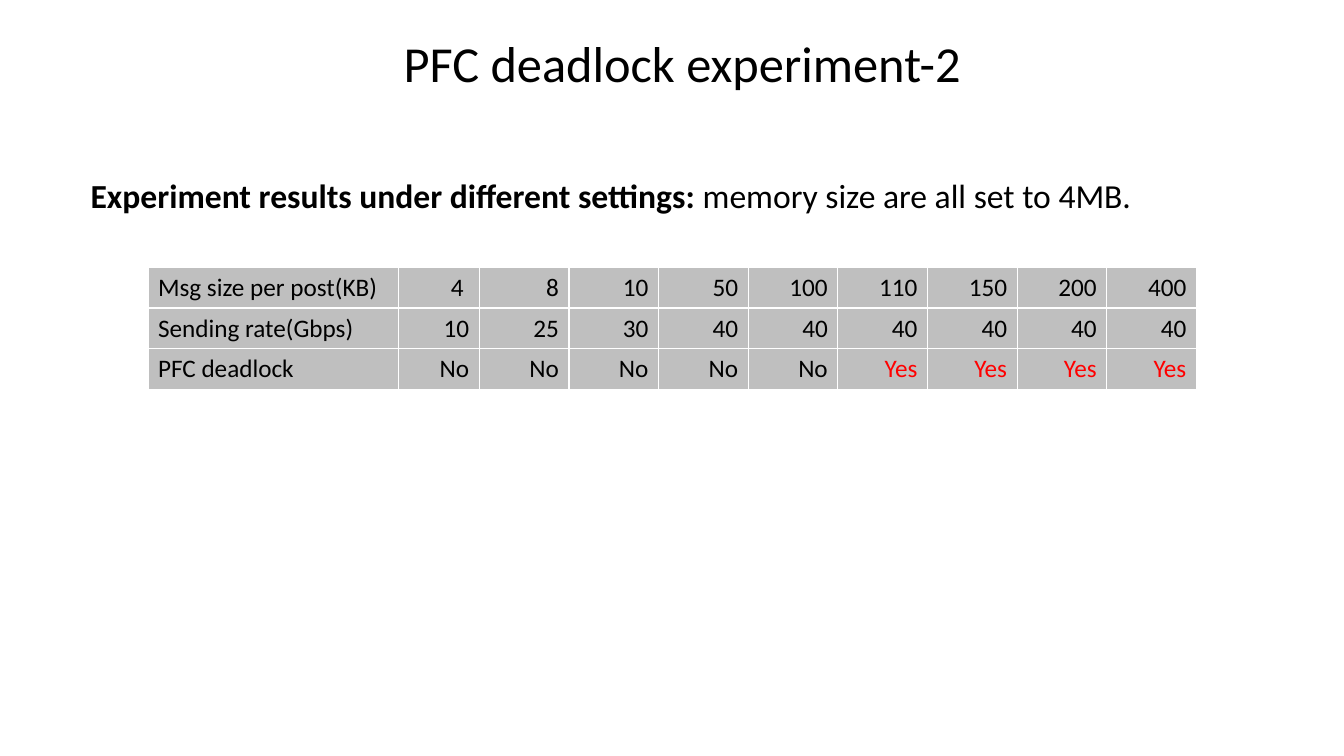
from pptx import Presentation
from pptx.dml.color import RGBColor
from pptx.enum.text import MSO_ANCHOR, MSO_AUTO_SIZE, PP_ALIGN
from pptx.oxml.ns import qn
from pptx.util import Cm, Pt

TITLE = "PFC deadlock experiment-2"
INTRO = [("Experiment results under different settings: ", True),
         ("memory size are all set to 4MB.", False)]
RESULTS = [
    ("Msg size per post(KB)", "4 ", "8", "10", "50", "100", "110", "150", "200", "400"),
    ("Sending rate(Gbps)", "10", "25", "30", "40", "40", "40", "40", "40", "40"),
    ("PFC deadlock", " No", "No", "No", "No", "No", "Yes", "Yes", "Yes", "Yes"),
]
COL_WIDTHS = [6.32, 2.03] + [2.26] * 8
ROW_HEIGHT = 1.03
BLACK, RED, GREY = "000000", "FF0000", "BFBFBF"


def rgb(value):
    return RGBColor.from_string(value)


def add_run(p, text, size, color=BLACK, bold=False):
    r = p.add_run()
    r.text = text
    for name, value in {"name": "Calibri", "size": Pt(size), "bold": bold}.items():
        setattr(r.font, name, value)
    r.font.color.rgb = rgb(color)


def place(sp, left, top, width, height):
    box = {"left": left, "top": top, "width": width, "height": height}
    for name, value in box.items():
        setattr(sp, name, Cm(value))
    tf = sp.text_frame
    frame = {"word_wrap": False, "auto_size": MSO_AUTO_SIZE.NONE,
             "vertical_anchor": MSO_ANCHOR.TOP}
    for name, value in frame.items():
        setattr(tf, name, value)
    p = tf.paragraphs[0]
    p.space_before = Pt(0)
    return p


prs = Presentation()
prs.slide_width, prs.slide_height = Cm(33.87), Cm(19.05)
s = prs.slides.add_slide(prs.slide_layouts[1])

# Title
p = place(s.shapes.title, 9.83, 0.69, 14.73, 1.8)
add_run(p, TITLE, 36)

# Introductory line, without a bullet
p = place(s.placeholders[1], 2.03, 4.27, 27.53, 1.27)
pPr = p._p.get_or_add_pPr()
pPr.set("marL", "0")
pPr.set("indent", "0")
pPr.append(pPr.makeelement(qn("a:buNone"), {}))
for text, bold in INTRO:
    add_run(p, text, 24, bold=bold)

# Results table
table = s.shapes.add_table(len(RESULTS), len(COL_WIDTHS), Cm(3.73), Cm(6.73),
                           Cm(sum(COL_WIDTHS)), Cm(ROW_HEIGHT * len(RESULTS))).table
table.horz_banding = False
for column, width in zip(table.columns, COL_WIDTHS):
    column.width = Cm(width)
for i, row in enumerate(RESULTS):
    table.rows[i].height = Cm(ROW_HEIGHT)
    for j, text in enumerate(row):
        cell = table.cell(i, j)
        cell.fill.solid()
        cell.fill.fore_color.rgb = rgb(GREY)
        p = cell.text_frame.paragraphs[0]
        p.alignment = PP_ALIGN.RIGHT if j else PP_ALIGN.LEFT
        add_run(p, text, 18, RED if text == "Yes" else BLACK)

prs.save("out.pptx")
